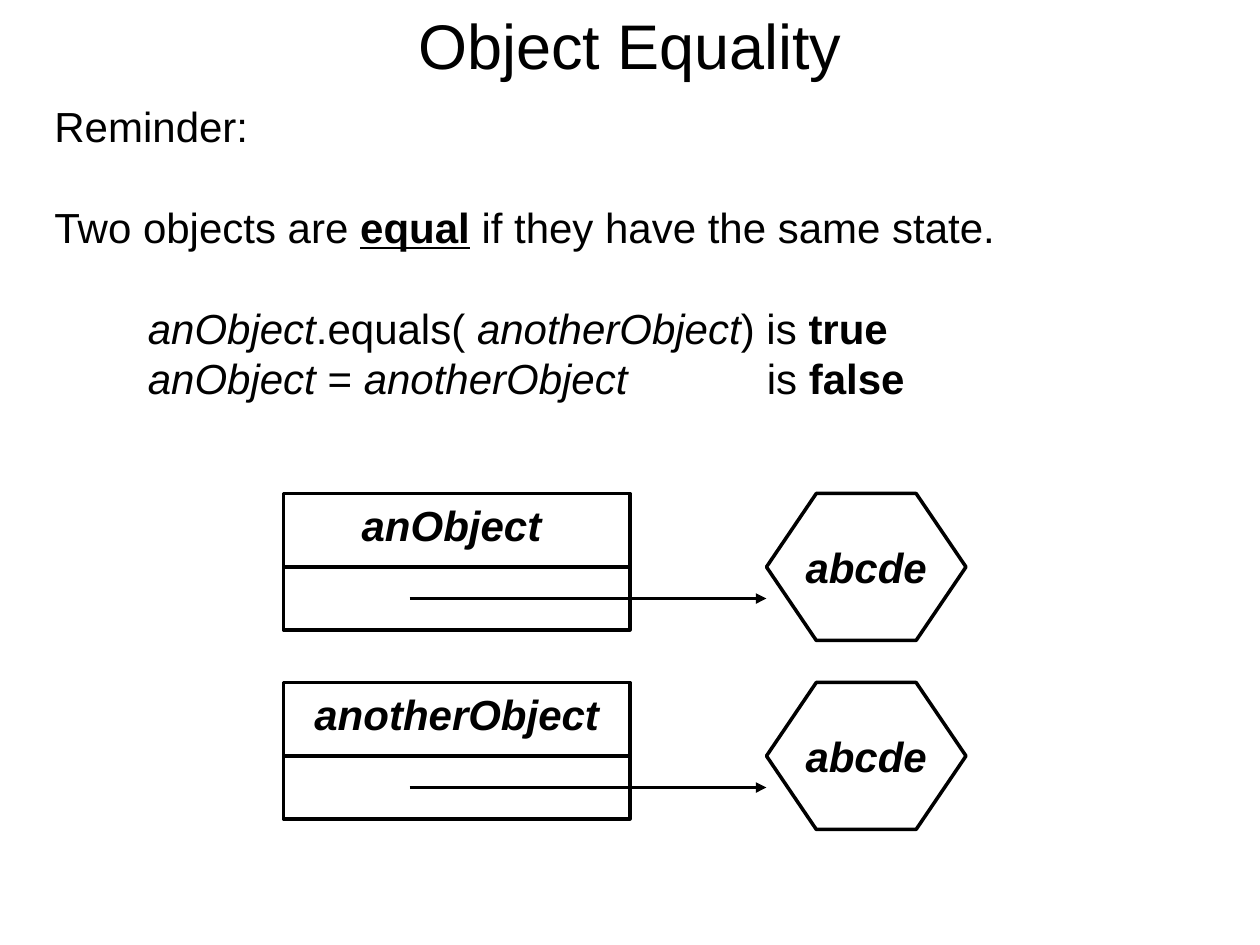
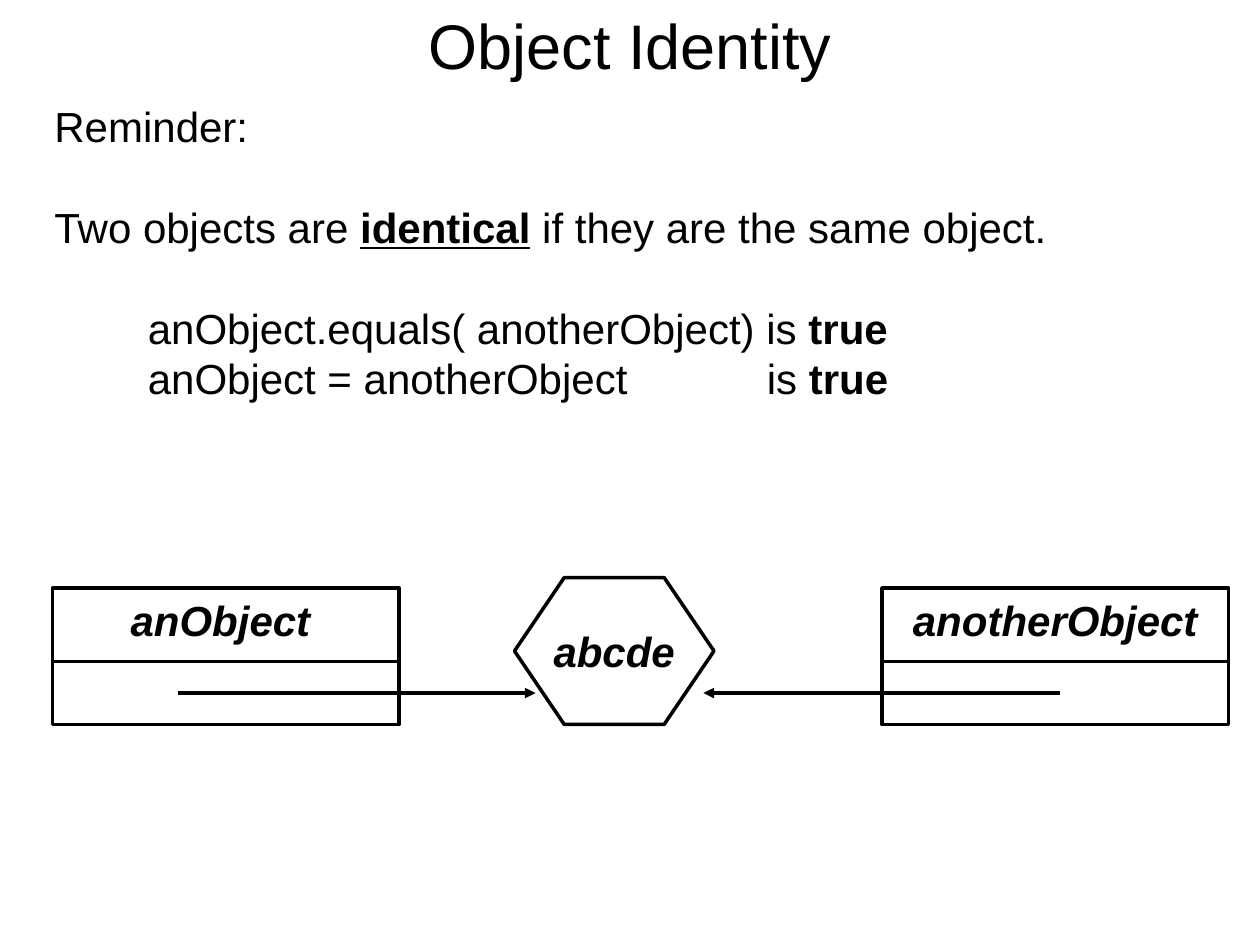
from dataclasses import dataclass

from lxml import etree
from pptx import Presentation
from pptx.dml.color import RGBColor
from pptx.enum.shapes import MSO_CONNECTOR, MSO_SHAPE
from pptx.enum.text import MSO_ANCHOR, MSO_AUTO_SIZE, PP_ALIGN
from pptx.oxml.ns import qn
from pptx.util import Pt

RECTANGLE, HEXAGON = MSO_SHAPE.RECTANGLE, MSO_SHAPE.HEXAGON
STRAIGHT = MSO_CONNECTOR.STRAIGHT
TOP, MIDDLE = MSO_ANCHOR.TOP, MSO_ANCHOR.MIDDLE
LEFT, CENTER = PP_ALIGN.LEFT, PP_ALIGN.CENTER
NO_AUTO_SIZE = MSO_AUTO_SIZE.NONE
TITLE_ONLY = 5


@dataclass(frozen=True)
class Theme:
    ink: RGBColor = RGBColor(0x00, 0x00, 0x00)
    paper: RGBColor = RGBColor(0xFF, 0xFF, 0xFF)
    font: str = "Arial"
    title_size: float = 36
    text_size: float = 24
    leading: float = 1.2
    line_width: float = 2
    # Tab stops for the code lines: start of the code, then its result
    tab_stops: tuple = (53.4, 407.1)


class SlideBuilder:
    """Holds the style and the current slide."""

    def __init__(self, deck, theme):
        self.deck = deck
        self.theme = theme
        self.page = None

    def new_page(self, title):
        self.page = self.deck.slides.add_slide(self.deck.slide_layouts[TITLE_ONLY])
        background = self.page.background.fill
        background.solid()
        background.fore_color.rgb = self.theme.paper
        box = self.page.shapes.title
        box.left, box.top, box.width, box.height = Pt(0), Pt(0), Pt(720), Pt(50.4)
        self.prepare_frame(box.text_frame, TOP)
        box.text_frame.text = title
        self.format_para(box.text_frame.paragraphs[0], CENTER, self.theme.title_size)

    def prepare_frame(self, frame, anchor, wrap=True):
        frame.auto_size = NO_AUTO_SIZE
        frame.word_wrap = wrap
        frame.vertical_anchor = anchor
        frame.margin_left = frame.margin_right = Pt(7.2)
        frame.margin_top = frame.margin_bottom = Pt(3.6)

    def format_para(self, para, align, size, styles=("",)):
        """Format each run; a style names any of b, i and u."""
        para.alignment = align
        para.line_spacing = Pt(size * self.theme.leading)
        for span, style in zip(para.runs, styles):
            font = span.font
            font.name, font.size = self.theme.font, Pt(size)
            font.color.rgb = self.theme.ink
            font.bold, font.italic, font.underline = (key in style for key in "biu")

    def set_label(self, frame, text):
        frame.text = text
        self.format_para(frame.paragraphs[0], CENTER, self.theme.text_size, ["bi"])

    def add_tabs(self, para):
        tab_list = etree.SubElement(para._p.get_or_add_pPr(), qn("a:tabLst"))
        for stop in self.theme.tab_stops:
            etree.SubElement(tab_list, qn("a:tab"), pos=str(Pt(stop)), algn="l")

    def body(self, paras):
        """Each entry is (opens a section, list of (text, style))."""
        size = self.theme.text_size
        box = self.page.shapes.add_textbox(Pt(24), Pt(54), Pt(582), Pt(180))
        self.prepare_frame(box.text_frame, TOP)
        for index, (opens_section, spans) in enumerate(paras):
            para = box.text_frame.paragraphs[0] if index == 0 else box.text_frame.add_paragraph()
            self.add_tabs(para)
            for text, _ in spans:
                para.add_run().text = text
            self.format_para(para, LEFT, size, [style for _, style in spans])
            if opens_section:
                para.space_before = Pt(size * self.theme.leading)

    def outline(self, kind, left, top, width, height):
        shape = self.page.shapes.add_shape(kind, Pt(left), Pt(top), Pt(width), Pt(height))
        shape.shadow.inherit = False
        shape.fill.background()
        shape.line.color.rgb = self.theme.ink
        shape.line.width = Pt(self.theme.line_width)
        return shape

    def line(self, start, end, y, arrow=False):
        connector = self.page.shapes.add_connector(STRAIGHT, Pt(start), Pt(y), Pt(end), Pt(y))
        connector.line.color.rgb = self.theme.ink
        connector.line.width = Pt(self.theme.line_width)
        if arrow:
            etree.SubElement(connector.line._get_or_add_ln(), qn("a:tailEnd"), type="triangle")
        etree.SubElement(connector._element.spPr, qn("a:effectLst"))

    def variable(self, name, left, top, label_inset, label_width):
        """A named box with a divider above its reference cell."""
        label = self.page.shapes.add_textbox(
            Pt(left + label_inset), Pt(top), Pt(label_width), Pt(36))
        self.prepare_frame(label.text_frame, TOP)
        self.set_label(label.text_frame, name)
        self.outline(RECTANGLE, left, top, 198, 78)
        self.line(left, left + 198, top + 42)

    def value(self, text, left, top):
        hexagon = self.outline(HEXAGON, left, top, 114, 84)
        hexagon.adjustments[0] = 0.339
        self.prepare_frame(hexagon.text_frame, MIDDLE, wrap=False)
        self.set_label(hexagon.text_frame, text)

    def reference(self, start, end, variable_top):
        self.line(start, end, variable_top + 60, arrow=True)


# Name, label inset and label width of the two variables
VARIABLES = (("anObject", 18, 156), ("anotherObject", 6, 186))
VALUE = "abcde"


def reminder(term, rule, name_style, identity_result):
    first, second = (name for name, _, _ in VARIABLES)
    return [
        (False, [("Reminder:", "")]),
        (True, [("Two objects are ", ""), (term, "bu"), (rule, "")]),
        (True, [("\t", ""), (first, name_style), (".equals( ", ""),
                (second, name_style), (") is ", ""), ("true", "b")]),
        (False, [("\t", ""), (first, name_style), (" = ", ""),
                 (second, name_style), ("\tis ", ""), (identity_result, "b")]),
    ]


def equality_page(builder):
    builder.new_page("Object Equality")
    builder.body(reminder("equal", " if they have the same state.", "i", "false"))
    # Each variable refers to its own value
    for row, (name, inset, width) in enumerate(VARIABLES):
        top = 282 + 108 * row
        builder.variable(name, 162, top, inset, width)
        builder.value(VALUE, 438, top)
        builder.reference(234, 438, top)


def identity_page(builder):
    builder.new_page("Object Identity")
    builder.body(reminder("identical", " if they are the same object.", "", "true"))
    # Both variables refer to one shared value
    top = 336
    arrows = ((30, 102, 306), (504, 606, 402))
    for (name, inset, width), (left, start, end) in zip(VARIABLES, arrows):
        builder.variable(name, left, top, inset, width)
        builder.reference(start, end, top)
    builder.value(VALUE, 294, 330)


def main():
    deck = Presentation()
    deck.slide_width, deck.slide_height = Pt(720), Pt(540)
    builder = SlideBuilder(deck, Theme())
    equality_page(builder)
    identity_page(builder)
    deck.save("out.pptx")


if __name__ == "__main__":
    main()
